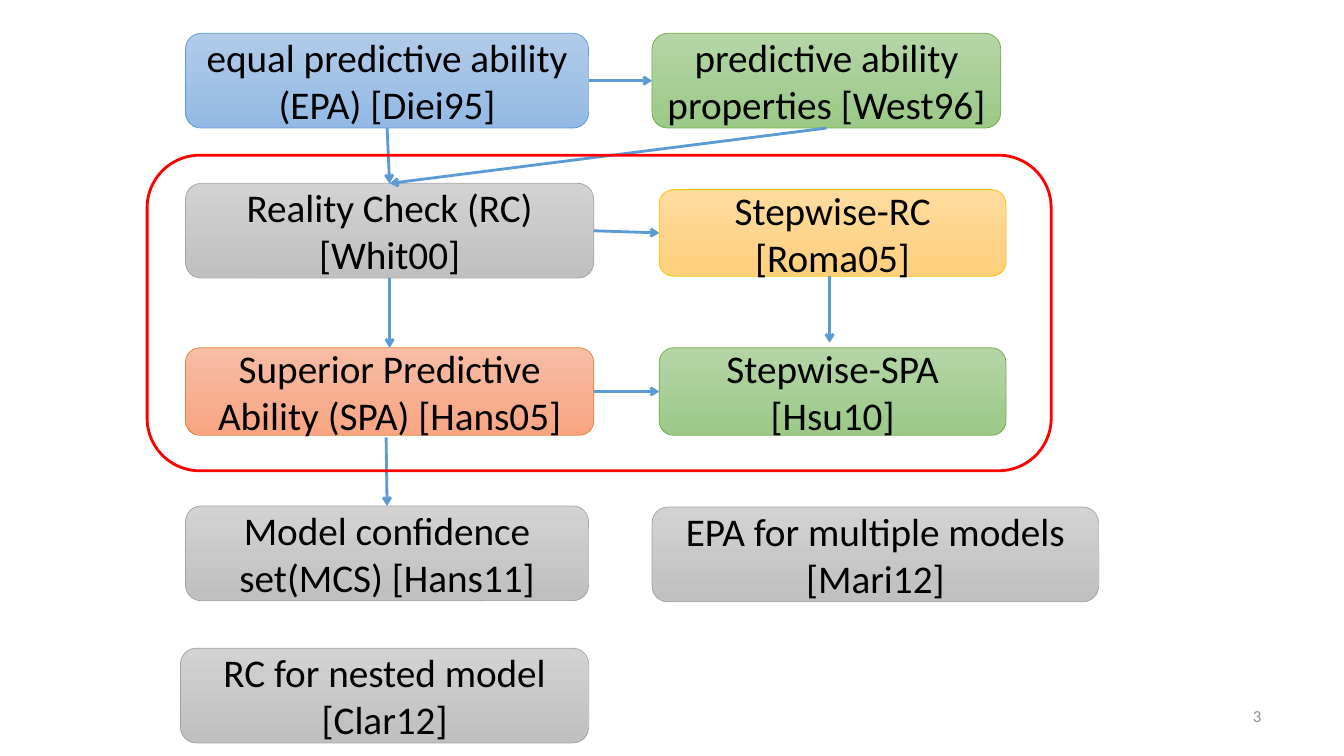
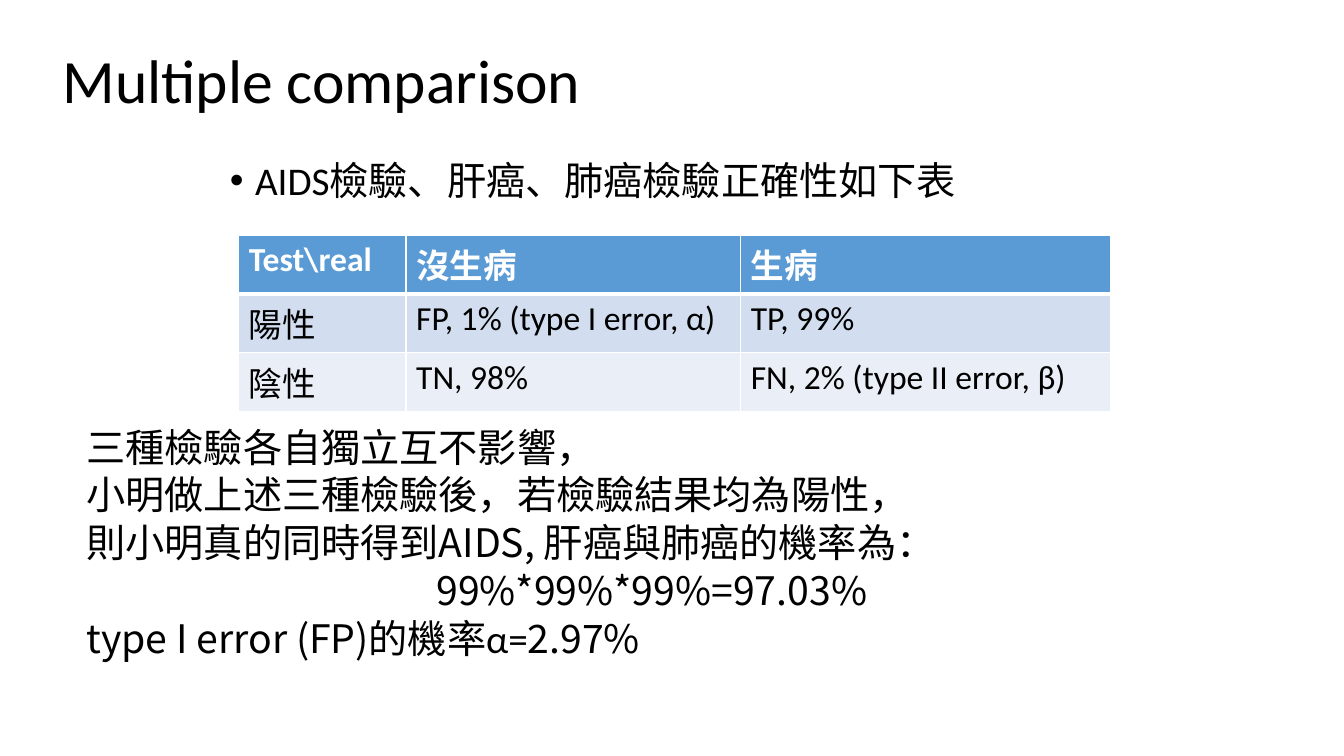
"""Build two slides: a map of predictive ability tests and a multiple comparison example."""
import lxml.etree
import pptx
import pptx.dml.color
import pptx.enum.shapes
import pptx.enum.text
import pptx.oxml.ns
import pptx.util

Pt = pptx.util.Pt
ALIGN = pptx.enum.text.PP_ALIGN
MIDDLE = pptx.enum.text.MSO_ANCHOR.MIDDLE
ROUND = pptx.enum.shapes.MSO_SHAPE.ROUNDED_RECTANGLE
LATIN, ASIAN = "Calibri", "Noto Sans CJK SC"
COLORS = {
    "text": "000000", "page": "8C8C8C", "white": "FFFFFF", "frame": "FF0000",
    "arrow": "5B9BD5", "head": "5B9BD5", "odd": "D2DEEF", "even": "EAEFF7",
    "blue": "5B9BD5", "blue top": "B1CBE9", "blue end": "93B9E4",
    "green": "70AD47", "green top": "B5D5A7", "green end": "9CC987",
    "gray": "A5A5A5", "gray top": "D2D2D2", "gray end": "C0C0C0",
    "gold": "FFC000", "gold top": "FFDB9E", "gold end": "FFD07C",
    "coral": "ED7D31", "coral top": "F7BDA5", "coral end": "F8A582",
}


def tint(name):
    """Return the named colour."""
    return pptx.dml.color.RGBColor.from_string(COLORS[name])


def node(parent, tag, **attrs):
    """Append a drawing element to a parent."""
    return lxml.etree.SubElement(parent, pptx.oxml.ns.qn(tag), attrs)


def style(para, size, color="text", font=LATIN, bold=False, align=ALIGN.LEFT):
    """Format all runs of a paragraph."""
    para.alignment = align
    for run in para.runs:
        run.font.size = Pt(size)
        run.font.name = font
        run.font.bold = bold
        run.font.color.rgb = tint(color)
        node(run._r.get_or_add_rPr(), "a:ea", typeface=ASIAN)


def place(shape, box):
    """Move a shape to a box given in points."""
    shape.left, shape.top, shape.width, shape.height = map(Pt, box)


def note(slide, box):
    """Add a wrapping text box and return its frame."""
    frame = slide.shapes.add_textbox(*map(Pt, box)).text_frame
    frame.word_wrap = True
    return frame


def round_box(slide, box, line, width):
    """Add a rounded outline without shadow."""
    shape = slide.shapes.add_shape(ROUND, *map(Pt, box))
    shape.shadow.inherit = False
    shape.line.color.rgb = tint(line)
    shape.line.width = Pt(width)
    return shape


def card(slide, box, hue, text):
    """Add a shaded box with a centred label."""
    shape = round_box(slide, box, hue, 0.5)
    shape.fill.gradient()
    shape.fill.gradient_angle = 270
    for stop, part in zip(shape.fill.gradient_stops, ("top", "end")):
        stop.color.rgb = tint(f"{hue} {part}")
    frame = shape.text_frame
    frame.text = text
    frame.vertical_anchor = MIDDLE
    style(frame.paragraphs[0], 28, align=ALIGN.CENTER)
    return shape


def arrow(slide, start=(0, 0), end=(0, 0), source=None, target=None):
    """Draw an arrow between points, joined to shape sides where given."""
    kind = pptx.enum.shapes.MSO_CONNECTOR.STRAIGHT
    link = slide.shapes.add_connector(kind, *map(Pt, (*start, *end)))
    if source:
        link.begin_connect(*source)
    if target:
        link.end_connect(*target)
    link.line.color.rgb = tint("arrow")
    link.line.width = Pt(2)
    node(link.line._get_or_add_ln(), "a:tailEnd", type="arrow")
    node(link._element.spPr, "a:effectLst")


def flow(slide, left, top):
    """Draw the map of tests from its top left corner."""
    cards = {
        "rc": (27.4, 107.2, 291.6, 67.7, "gray", "Reality Check (RC) [Whit00]"),
        "step": (365.8, 111.6, 247.7, 61.9, "gold", "Stepwise-RC [Roma05]"),
        "spa": (27.4, 224.6, 291.6, 62.6, "coral",
                "Superior Predictive Ability (SPA) [Hans05]"),
        "both": (365.8, 224.6, 247.7, 62.6, "green", "Stepwise-SPA [Hsu10]"),
        "epa": (27.4, 0, 288, 67.7, "blue", "equal predictive ability (EPA) [Diei95]"),
        "west": (360.7, 0, 249.1, 67.7, "green", "predictive ability properties [West96]"),
        "mcs": (27.4, 337.6, 288, 67.7, "gray", "Model confidence set(MCS) [Hans11]"),
        "nest": (23.8, 439.2, 291.6, 67.7, "gray", "RC for nested model\v[Clar12]"),
        "many": (360.7, 338.4, 319, 67.7, "gray", "EPA for multiple models\v[Mari12]"),
    }
    made = {
        name: card(slide, (left + x, top + y, wide, high), hue, text)
        for name, (x, y, wide, high, hue, text) in cards.items()
    }
    for source, side, target, port in (
        ("rc", 3, "step", 1), ("rc", 2, "spa", 0), ("spa", 3, "both", 1),
        ("epa", 3, "west", 1), ("epa", 2, "rc", 0), ("west", 2, "rc", 0),
    ):
        arrow(slide, source=(made[source], side), target=(made[target], port))
    arrow(slide, (left + 487.5, top + 173.5), (left + 487.5, top + 221))
    arrow(slide, (left + 170.7, top + 288.7), target=(made["mcs"], 0))
    round_box(slide, (left, top + 87.1, 645.8, 225.4), "frame", 2).fill.background()


def footer(slide, box, text):
    """Write the page number."""
    frame = note(slide, box)
    frame.text = text
    frame.vertical_anchor = MIDDLE
    style(frame.paragraphs[0], 12, "page", align=ALIGN.RIGHT)


def header(slide, box, text):
    """Fill the title placeholder."""
    place(slide.shapes.title, box)
    frame = slide.shapes.title.text_frame
    frame.text = text
    frame.auto_size = pptx.enum.text.MSO_AUTO_SIZE.NONE
    frame.vertical_anchor = MIDDLE
    frame.paragraphs[0].line_spacing = 0.9
    style(frame.paragraphs[0], 44)


def bullet(slide, box, text):
    """Fill the body placeholder with one bullet."""
    body = slide.placeholders[1]
    place(body, box)
    frame = body.text_frame
    frame.text = text
    frame.auto_size = pptx.enum.text.MSO_AUTO_SIZE.NONE
    para = frame.paragraphs[0]
    props = para._p.get_or_add_pPr()
    props.set("marL", str(Pt(18)))
    props.set("indent", str(-Pt(18)))
    node(props, "a:buChar", char="•")
    para.line_spacing = 0.9
    para.space_before = Pt(0)
    style(para, 28)


def border(cell, bottom):
    """Give a cell white borders."""
    props = cell._tc.get_or_add_tcPr()
    for side, width in (("L", 1), ("R", 1), ("T", 1), ("B", bottom)):
        line = node(props, f"a:ln{side}", w=str(Pt(width)))
        node(node(line, "a:solidFill"), "a:srgbClr", val=COLORS["white"])


def grid(slide, left, top):
    """Add the table of test results."""
    rows = (
        ("Test\\real", "沒生病", "生病"),
        ("陽性", "FP, 1% (type I error, α)", "TP, 99%"),
        ("陰性", "TN, 98%", "FN, 2% (type II error, β)"),
    )
    widths, high = (119.5, 239, 264.3), 42
    table = slide.shapes.add_table(
        len(rows), len(widths), Pt(left), Pt(top), Pt(sum(widths)), Pt(high * len(rows))
    ).table
    for col, width in zip(table.columns, widths):
        col.width = Pt(width)
    for i, (row, fill) in enumerate(zip(rows, ("head", "odd", "even"))):
        table.rows[i].height = Pt(high)
        first = i == 0
        for j, text in enumerate(row):
            cell = table.cell(i, j)
            cell.text = text
            style(cell.text_frame.paragraphs[0], 24, "white" if first else "text", bold=first)
            border(cell, 3 if first else 1)
            cell.fill.solid()
            cell.fill.fore_color.rgb = tint(fill)


def proof(slide, box):
    """Write the reasoning below the table."""
    frame = note(slide, box)
    frame.text = "\n".join((
        "三種檢驗各自獨立互不影響，",
        "小明做上述三種檢驗後，若檢驗結果均為陽性，",
        "則小明真的同時得到AIDS, 肝癌與肺癌的機率為：",
        "99%*99%*99%=97.03%",
        "type I error (FP)的機率",
    ))
    last = frame.paragraphs[-1]
    for text in ("α=", "2.97%"):
        last.add_run().text = text
    for para in frame.paragraphs:
        style(para, 28, font=ASIAN)
        para.line_spacing = Pt(34.1)
    frame.paragraphs[3].alignment = ALIGN.CENTER
    last.runs[1].font.name = LATIN


def main():
    """Build and save the deck."""
    deck = pptx.Presentation()
    deck.slide_width, deck.slide_height = Pt(960), Pt(540)
    chart = deck.slides.add_slide(deck.slide_layouts[6])
    flow(chart, 105.1, 23.8)
    footer(chart, (740.2, 496.8, 167.8, 28.8), "3")
    trial = deck.slides.add_slide(deck.slide_layouts[1])
    header(trial, (37.4, 7.2, 828, 104.4), "Multiple comparison")
    bullet(trial, (157, 111.6, 648, 81.4), "AIDS檢驗、肝癌、肺癌檢驗正確性如下表")
    grid(trial, 170.6, 167.8)
    proof(trial, (54.7, 298.1, 821.5, 177.1))
    deck.save("out.pptx")


if __name__ == "__main__":
    main()
